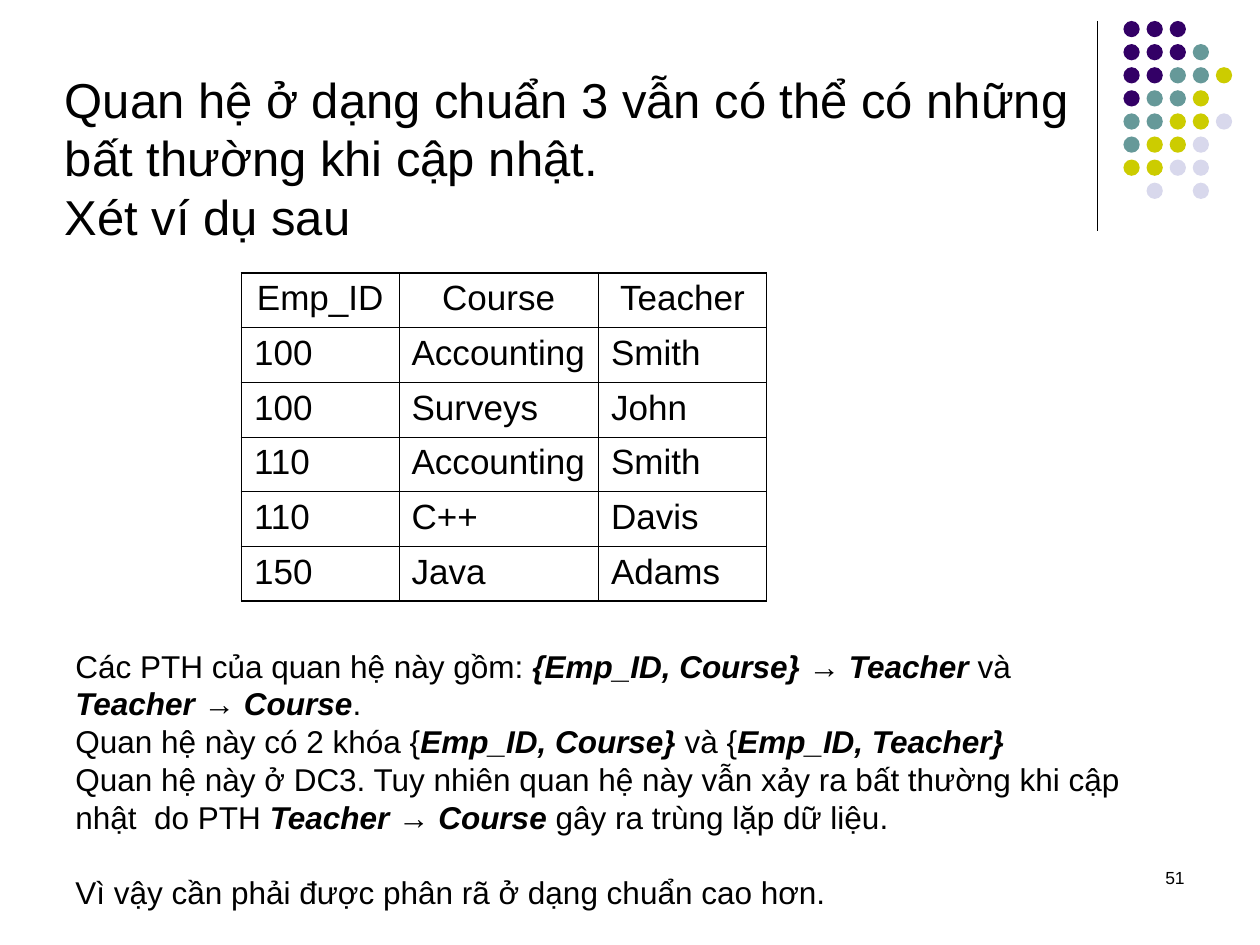
from dataclasses import dataclass

from lxml.etree import SubElement
from pptx import Presentation
from pptx.dml.color import RGBColor
from pptx.enum.shapes import MSO_CONNECTOR, MSO_SHAPE
from pptx.enum.text import PP_ALIGN
from pptx.oxml.ns import qn
from pptx.util import Inches, Pt


@dataclass(frozen=True)
class Theme:
    font: str = "Arial"
    ink: str = "000000"
    purple: str = "330066"
    teal: str = "669999"
    lime: str = "CCCC00"
    lavender: str = "D8D8EC"
    title_size: float = 28
    table_size: float = 20
    body_size: float = 18
    number_size: float = 10
    rule_width: float = 0.75
    outer_border: float = 1.08
    inner_border: float = 0.45


def grid(units):
    """Length of grid units: the slide has 120 columns and 90 rows."""
    return Inches(units / 12)


@dataclass
class SlideBuilder:
    slide: object
    theme: Theme

    def run(self, paragraph, text, size, strong=False):
        run = paragraph.add_run()
        run.text = text
        font = run.font
        font.name = self.theme.font
        font.size = Pt(size)
        font.color.rgb = RGBColor.from_string(self.theme.ink)
        font.bold = font.italic = strong

    def text(self, box, paragraphs, size, align=PP_ALIGN.LEFT, gap_before_last=0):
        """Each paragraph is a list of (text, strong) runs; None breaks the line."""
        shape = self.slide.shapes.add_textbox(*map(grid, box))
        frame = shape.text_frame
        frame.word_wrap = True
        for index, runs in enumerate(paragraphs):
            paragraph = frame.add_paragraph() if index else frame.paragraphs[0]
            paragraph.alignment = align
            for item in runs:
                if item is None:
                    paragraph.add_line_break()
                else:
                    self.run(paragraph, item[0], size, item[1])
        if gap_before_last:
            paragraph.space_before = Pt(gap_before_last)

    def vertical_rule(self, column, top, bottom):
        line = self.slide.shapes.add_connector(
            MSO_CONNECTOR.STRAIGHT, *map(grid, (column, top, column, bottom)))
        line.line.color.rgb = RGBColor.from_string(self.theme.ink)
        line.line.width = Pt(self.theme.rule_width)
        SubElement(line._element.spPr, qn("a:effectLst"))

    def dots(self, left, top, pitch, diameter, pattern):
        """Draw one dot per letter of the pattern; a full stop leaves a gap."""
        colors = {"P": self.theme.purple, "T": self.theme.teal,
                  "Y": self.theme.lime, "L": self.theme.lavender}
        for row, letters in enumerate(pattern):
            for column, letter in enumerate(letters):
                if letter == ".":
                    continue
                dot = self.slide.shapes.add_shape(
                    MSO_SHAPE.OVAL, grid(left + column * pitch),
                    grid(top + row * pitch), grid(diameter), grid(diameter))
                dot.shadow.inherit = False
                dot.fill.solid()
                dot.fill.fore_color.rgb = RGBColor.from_string(colors[letter])
                dot.line.fill.background()

    def borders(self, cell, outer_sides):
        properties = cell._tc.get_or_add_tcPr()
        for position, side in enumerate("LRTB"):
            width = self.theme.outer_border if side in outer_sides else self.theme.inner_border
            line = properties.makeelement(qn(f"a:ln{side}"), {"w": str(Pt(width))})
            fill = SubElement(line, qn("a:solidFill"))
            SubElement(fill, qn("a:srgbClr"), val=self.theme.ink)
            properties.insert(position, line)

    def table(self, left, top, column_widths, row_height, records):
        row_count, column_count = len(records), len(column_widths)
        table = self.slide.shapes.add_table(
            row_count, column_count, grid(left), grid(top),
            grid(sum(column_widths)), grid(row_height * row_count)).table
        table.first_row = table.horz_banding = False
        for column, width in zip(table.columns, column_widths):
            column.width = grid(width)
        for row_index, record in enumerate(records):
            table.rows[row_index].height = grid(row_height)
            for column_index, value in enumerate(record):
                cell = table.cell(row_index, column_index)
                cell.fill.background()
                cell.margin_left = cell.margin_right = Inches(0.1)
                cell.margin_top = cell.margin_bottom = Inches(0.05)
                paragraph = cell.text_frame.paragraphs[0]
                paragraph.alignment = PP_ALIGN.LEFT if row_index else PP_ALIGN.CENTER
                self.run(paragraph, value, self.theme.table_size)
                outer_sides = (("L" if column_index == 0 else "")
                               + ("T" if row_index == 0 else "")
                               + ("B" if row_index == row_count - 1 else ""))
                self.borders(cell, outer_sides)


TITLE = [
    [("Quan hệ ở dạng chuẩn 3 vẫn có thể có những bất thường khi cập nhật.", False)],
    [("Xét ví dụ sau", False)],
]
COURSES = [
    ("Emp_ID", "Course", "Teacher"),
    ("100", "Accounting", "Smith"),
    ("100", "Surveys", "John"),
    ("110", "Accounting", "Smith"),
    ("110", "C++", "Davis"),
    ("150", "Java", "Adams"),
]
EXPLANATION = [
    [("Các PTH của quan hệ này gồm: ", False), ("{Emp_ID, Course} → Teacher ", True),
     ("và ", False), None, ("Teacher → Course", True), (".", False)],
    [("Quan hệ này có 2 khóa {", False), ("Emp_ID, Course}", True),
     (" và {", False), ("Emp_ID, Teacher}", True)],
    [("Quan hệ này ở DC3. Tuy nhiên quan hệ này vẫn xảy ra bất thường khi cập "
      "nhật  do PTH ", False),
     ("Teacher → Course ", True), ("gây ra trùng lặp dữ liệu.", False)],
    [("Vì vậy cần phải được phân rã ở dạng chuẩn cao hơn.", False)],
]
DOT_PATTERN = ["PPP", "PPPT", "PPTTY", "PTTY", "TTYYL", "TYYL", "YYLL", ".L.L"]


def main():
    presentation = Presentation()
    presentation.slide_width = grid(120)
    presentation.slide_height = grid(90)
    theme = Theme()
    builder = SlideBuilder(
        presentation.slides.add_slide(presentation.slide_layouts[6]), theme)
    builder.vertical_rule(104.5, 2, 22)
    builder.dots(107, 2, 2.2, 1.55, DOT_PATTERN)
    builder.text((86, 82, 28, 6), [[("51", False)]], theme.number_size, PP_ALIGN.RIGHT)
    builder.text((5, 6, 98, 18), TITLE, theme.title_size)
    builder.table(23, 26, (15, 19, 16), 5.2, COURSES)
    builder.text((6, 61, 104, 26.4), EXPLANATION, theme.body_size, gap_before_last=21.6)
    presentation.save("out.pptx")


if __name__ == "__main__":
    main()
